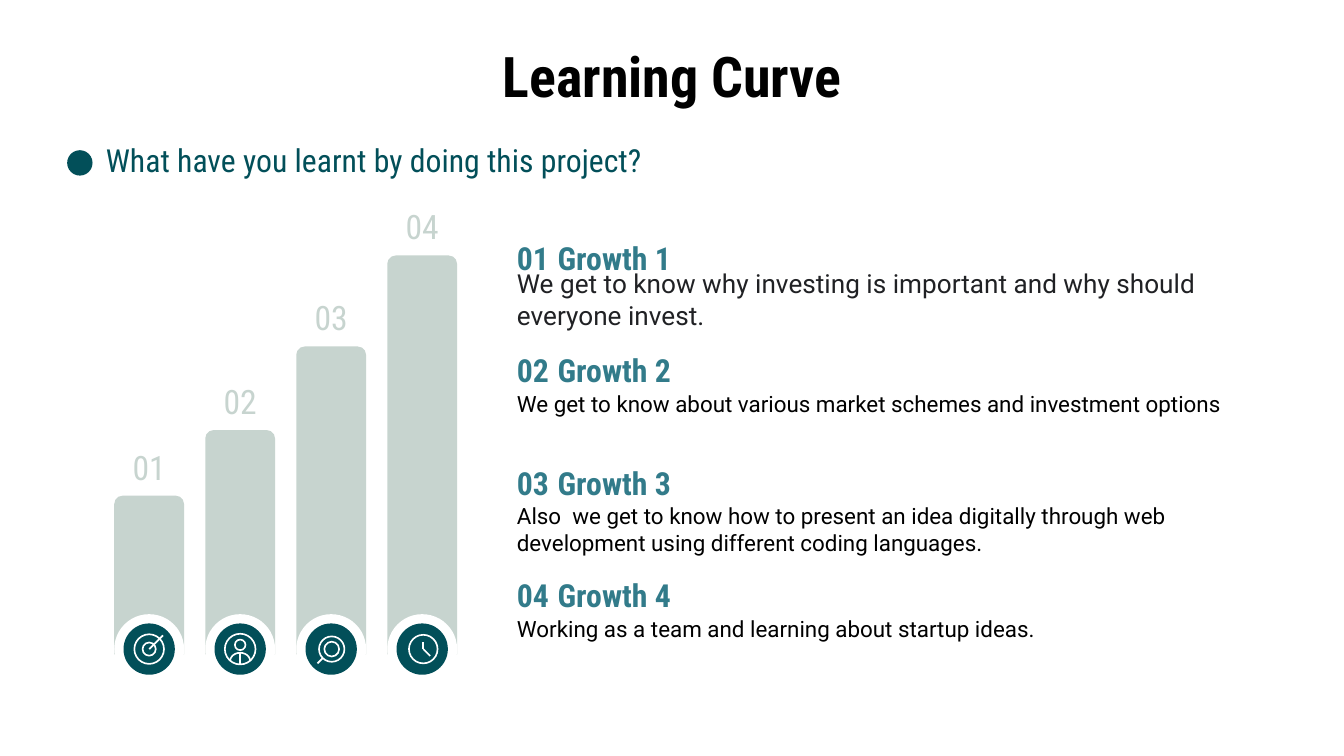
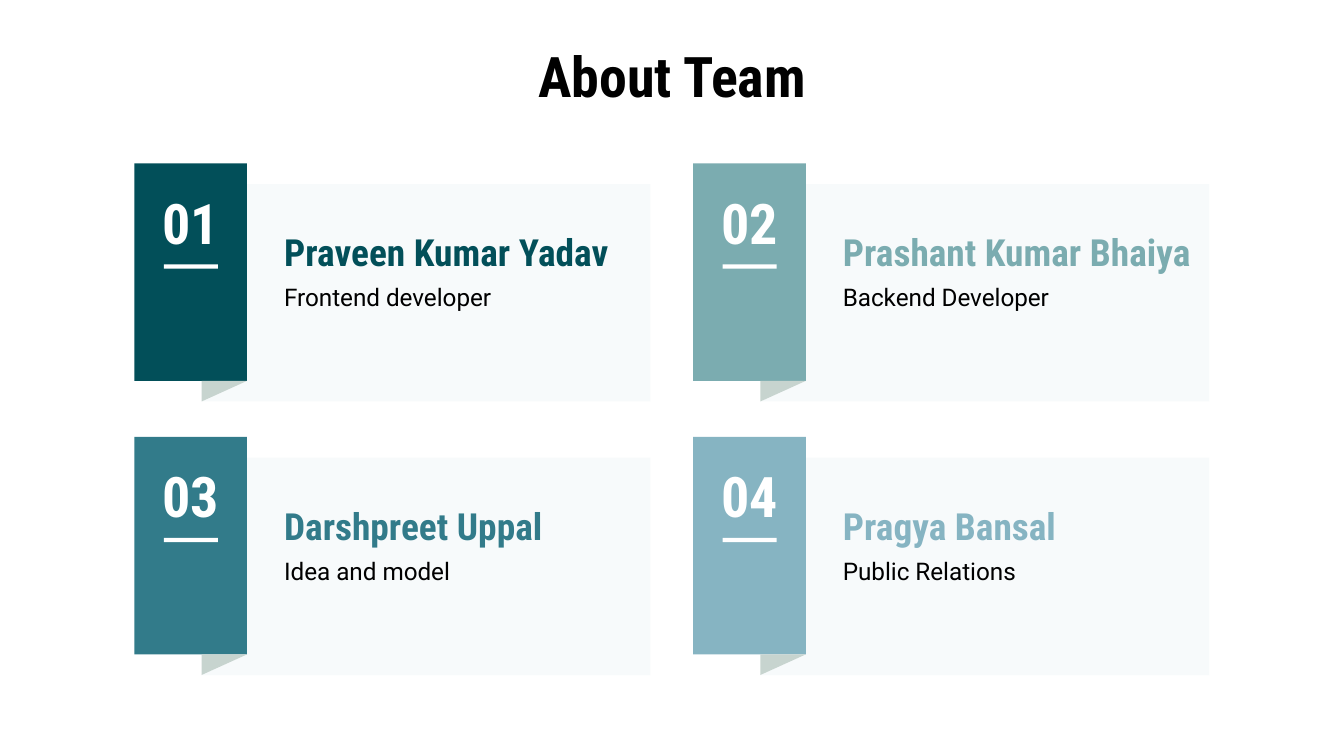
from math import cos, pi, sin

from lxml.etree import SubElement
from pptx import Presentation
from pptx.dml.color import RGBColor
from pptx.enum.shapes import MSO_CONNECTOR, MSO_SHAPE
from pptx.enum.text import MSO_ANCHOR, PP_ALIGN
from pptx.oxml.ns import qn
from pptx.util import Cm, Pt

# Shared look
WHITE, BLACK, INK = "FFFFFF", "000000", "202124"
DEEP, TEAL, SAGE, SKY = "024F59", "327B8A", "7BACB0", "86B4C2"
MIST, PANEL = "C7D4CF", "F7FAFB"
HEAD, BODY = "Roboto Condensed", "Roboto"
INSET = 0.25
ICON_LINE = 0.88

# Slide 1: each step has a bar top and a lesson
STEPS = [
    (9.37, "We get to know why investing is important and why should everyone invest."),
    (8.13, "We get to know about various market schemes and investment options"),
    (6.55, "Also  we get to know how to present an idea digitally through web "
           "development using different coding languages."),
    (4.83, "Working as a team and learning about startup ideas."),
]
BAR_LEFT, BAR_PITCH, BAR_WIDTH, BAR_BOTTOM = 2.16, 1.72, 1.32, 12.37
BADGE_Y = 12.27
LESSON_LEFT, LESSON_TOP, LESSON_PITCH = 9.52, 4.27, 2.12

# Slide 2: name, role, colour, width of the name
TEAM = [
    ("Praveen Kumar Yadav", "Frontend developer", DEEP, 6.73),
    ("Prashant Kumar Bhaiya", "Backend Developer", SAGE, 7.62),
    ("Darshpreet Uppal", "Idea and model", TEAL, 6.73),
    ("Pragya Bansal", "Public Relations", SKY, 6.73),
]
CARD_LEFT, CARD_TOP, CARD_PITCH_X, CARD_PITCH_Y = 2.54, 3.09, 10.56, 5.17
TAG_WIDTH, TAG_HEIGHT = 2.13, 4.11


def rgb(colour):
    return RGBColor.from_string(colour)


def paint(shape, fill=None, line=None):
    shape.shadow.inherit = False
    if fill:
        shape.fill.solid()
        shape.fill.fore_color.rgb = rgb(fill)
    else:
        shape.fill.background()
    if line:
        shape.line.color.rgb = rgb(line)
        shape.line.width = Pt(ICON_LINE)
    else:
        shape.line.fill.background()
    return shape


def block(slide, kind, x, y, width, height, fill):
    shape = slide.shapes.add_shape(kind, Cm(x), Cm(y), Cm(width), Cm(height))
    return paint(shape, fill)


def disc(slide, cx, cy, size, fill=None, line=None):
    shape = slide.shapes.add_shape(
        MSO_SHAPE.OVAL, Cm(cx - size / 2), Cm(cy - size / 2), Cm(size), Cm(size))
    return paint(shape, fill, line)


def outline(slide, points, fill=None, line=None, close=True):
    corners = [(Cm(x), Cm(y)) for x, y in points]
    builder = slide.shapes.build_freeform(*corners[0], scale=1.0)
    builder.add_line_segments(corners[1:], close=close)
    return paint(builder.convert_to_shape(), fill, line)


def stroke(slide, x1, y1, x2, y2):
    connector = slide.shapes.add_connector(
        MSO_CONNECTOR.STRAIGHT, Cm(x1), Cm(y1), Cm(x2), Cm(y2))
    connector.line.color.rgb = rgb(WHITE)
    connector.line.width = Pt(ICON_LINE)
    SubElement(connector._element.spPr, qn("a:effectLst"))


def label(slide, words, x, y, width, height, size, colour, font=HEAD, bold=False,
          align=PP_ALIGN.LEFT, anchor=MSO_ANCHOR.TOP, inset_y=INSET):
    frame = slide.shapes.add_textbox(Cm(x), Cm(y), Cm(width), Cm(height)).text_frame
    frame.word_wrap = True
    frame.vertical_anchor = anchor
    frame.margin_left = frame.margin_right = Cm(INSET)
    frame.margin_top = frame.margin_bottom = Cm(inset_y)
    paragraph = frame.paragraphs[0]
    paragraph.text = words
    paragraph.alignment = align
    paragraph.font.name = font
    paragraph.font.size = Pt(size)
    paragraph.font.bold = bold
    paragraph.font.color.rgb = rgb(colour)


def new_slide(deck, title):
    slide = deck.slides.add_slide(deck.slide_layouts[6])
    label(slide, title, 6.43, 0.56, 12.55, 1.73, 30, BLACK, bold=True,
          align=PP_ALIGN.CENTER, anchor=MSO_ANCHOR.MIDDLE)
    return slide


# Icons, drawn around the centre of a badge
def target_icon(slide, cx, cy):
    for size in (0.56, 0.25):
        disc(slide, cx, cy, size, line=WHITE)
    stroke(slide, cx, cy, cx + 0.26, cy - 0.26)


def person_icon(slide, cx, cy):
    disc(slide, cx, cy - 0.08, 0.2, line=WHITE)
    arc = [pi * (1 - i / 12) for i in range(13)]
    shoulders = [(cx + 0.19 * cos(a), cy + 0.23 - 0.16 * sin(a)) for a in arc]
    outline(slide, shoulders, line=WHITE, close=False)
    disc(slide, cx, cy, 0.58, line=WHITE)
    stroke(slide, cx, cy + 0.3, cx, cy + 0.07)


def magnifier_icon(slide, cx, cy):
    for size in (0.48, 0.28):
        disc(slide, cx + 0.01, cy, size, line=WHITE)
    stroke(slide, cx - 0.26, cy + 0.27, cx - 0.16, cy + 0.17)


def clock_icon(slide, cx, cy):
    pivot = cx + 0.02
    disc(slide, pivot, cy, 0.54, line=WHITE)
    stroke(slide, pivot, cy, pivot + 0.13, cy + 0.13)
    stroke(slide, pivot, cy - 0.13, pivot, cy)


ICONS = [target_icon, person_icon, magnifier_icon, clock_icon]


def growth_bar(slide, index, top):
    x = BAR_LEFT + index * BAR_PITCH
    centre = x + BAR_WIDTH / 2
    bar = block(slide, MSO_SHAPE.ROUND_2_SAME_RECTANGLE, x, top,
                BAR_WIDTH, BAR_BOTTOM - top, MIST)
    bar.adjustments[0] = 0.12
    label(slide, f"{index + 1:02}", x, top - 1.18, BAR_WIDTH, 0.97, 18, MIST,
          align=PP_ALIGN.CENTER)
    disc(slide, centre, BADGE_Y, BAR_WIDTH, WHITE)
    disc(slide, centre, BADGE_Y, 0.97, DEEP)
    ICONS[index](slide, centre, BADGE_Y)


def lesson_row(slide, index, lesson):
    y = LESSON_TOP + index * LESSON_PITCH
    label(slide, f"{index + 1:02}", LESSON_LEFT, y, 1.12, 1.17, 17, TEAL, bold=True)
    label(slide, f"Growth {index + 1}", LESSON_LEFT + 0.77, y, 5.56, 1.17, 17, TEAL,
          bold=True)
    if index == 0:  # the opening lesson is set larger
        label(slide, lesson, LESSON_LEFT, y + 0.66, 13.54, 1.45, 14, INK, BODY,
              inset_y=0.13)
    else:
        label(slide, lesson, LESSON_LEFT, y + 0.74, 14.53, 1.27, 12, BLACK, BODY)


def team_card(slide, index, name, role, colour, name_width):
    row, column = divmod(index, 2)
    x = CARD_LEFT + column * CARD_PITCH_X
    y = CARD_TOP + row * CARD_PITCH_Y
    fold_x, tag_right, right = x + 1.27, x + TAG_WIDTH, x + 9.75
    top, tag_bottom, bottom = y + 0.39, y + TAG_HEIGHT, y + 4.5
    # Panel, number tag and folded corner
    outline(slide, [(tag_right, top), (tag_right, tag_bottom), (fold_x, bottom),
                    (right, bottom), (right, top)], PANEL)
    block(slide, MSO_SHAPE.RECTANGLE, x, y, TAG_WIDTH, TAG_HEIGHT, colour)
    outline(slide, [(fold_x, tag_bottom), (fold_x, bottom), (tag_right, tag_bottom)],
            MIST)
    # Number, rule, name and role
    label(slide, f"{index + 1:02}", x, y + 0.22, TAG_WIDTH, 2.11, 30, WHITE, bold=True,
          align=PP_ALIGN.CENTER)
    block(slide, MSO_SHAPE.RECTANGLE, x + 0.56, y + 1.91, 1.02, 0.08, WHITE)
    label(slide, name, x + 2.58, y + 1, name_width, 1.17, 20, colour, bold=True)
    label(slide, role, x + 2.58, y + 2, 6.73, 1.63, 13, BLACK, BODY)


def learning_slide(deck):
    slide = new_slide(deck, "Learning Curve")
    disc(slide, 1.51, 3.08, 0.48, DEEP)
    label(slide, "What have you learnt by doing this project?", 1.75, 2.44, 16.61, 1.17,
          17, DEEP, anchor=MSO_ANCHOR.MIDDLE)
    for index, (bar_top, lesson) in enumerate(STEPS):
        growth_bar(slide, index, bar_top)
        lesson_row(slide, index, lesson)


def team_slide(deck):
    slide = new_slide(deck, "About Team")
    for index, member in enumerate(TEAM):
        team_card(slide, index, *member)


def main():
    deck = Presentation()
    deck.slide_width, deck.slide_height = Cm(25.4), Cm(14.29)
    learning_slide(deck)
    team_slide(deck)
    deck.save("out.pptx")


main()
